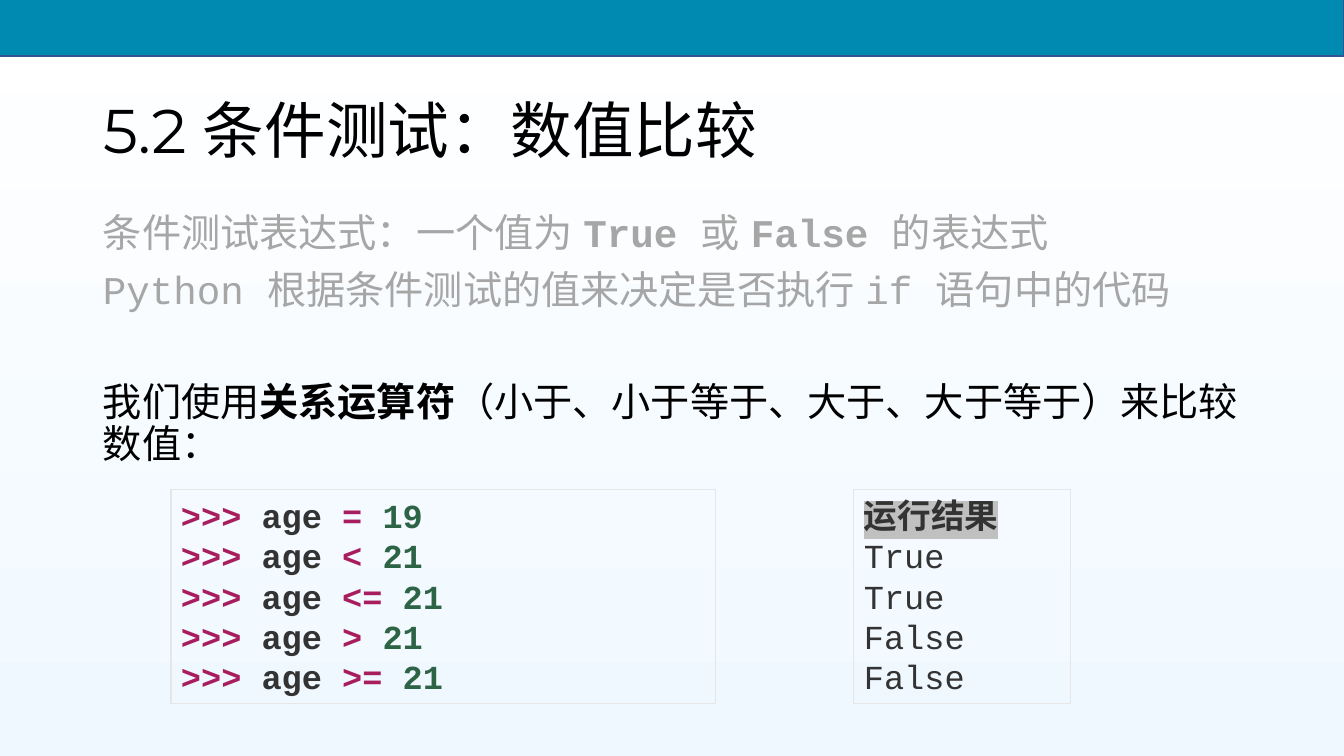
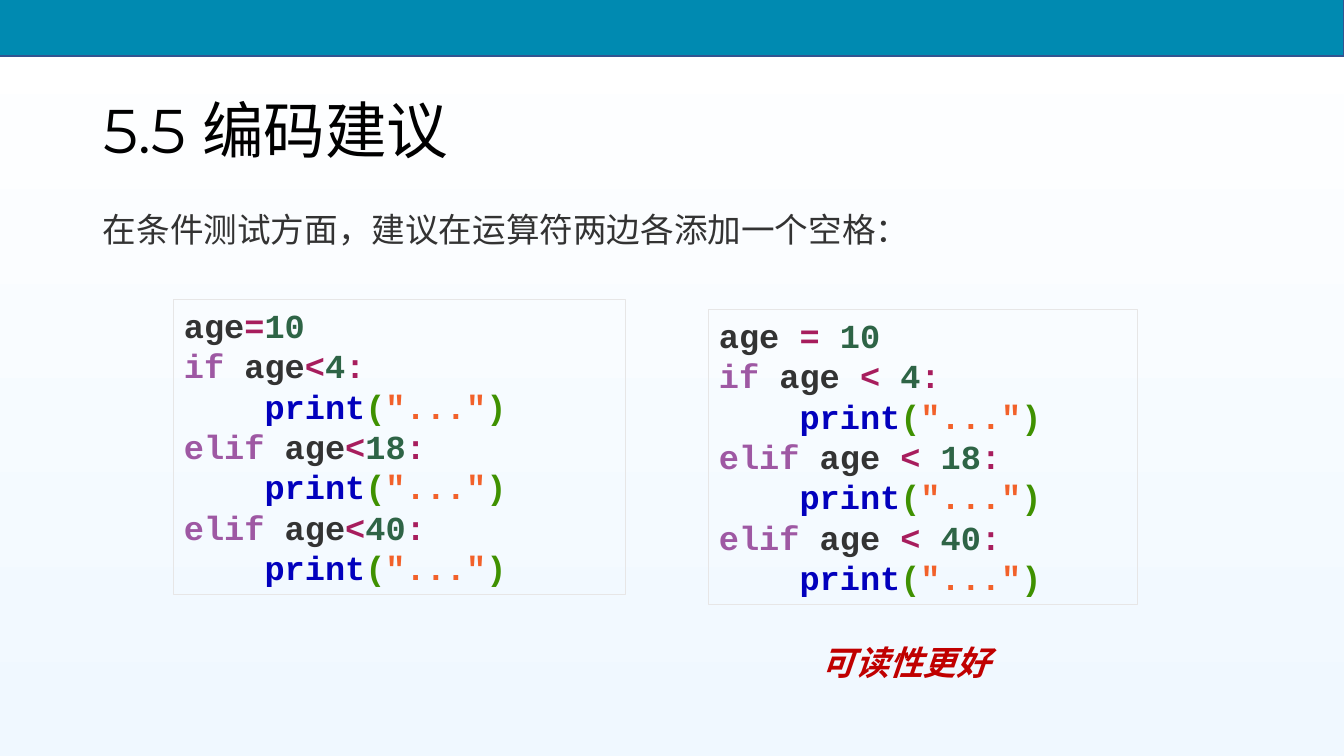
"""Build two Python lesson slides on condition tests and spacing."""
from dataclasses import dataclass
from typing import NamedTuple

from lxml import etree
from pptx import Presentation
from pptx import util as u
from pptx.dml import color
from pptx.enum import lang, shapes, text
from pptx.oxml import ns

SCALE = 914400 / 100.8
BLACK, GREY, DARK = "000000", "A6A6A6", "333333"
OPER, NUM, WORD, FUNC, PAREN, QUOTE = "A71D5D", "2E6446", "9E58A3", "0200BD", "3F9101", "F2612A"
SANS, MONO, HEAD, HAN = "Arial", "Courier New", "Montserrat", "Noto Sans CJK SC"


class Run(NamedTuple):
    text: str
    tint: str = DARK
    bold: bool = False
    font: str = MONO
    size: int = 24
    italic: bool = False
    mark: str = ""


class Box(NamedTuple):
    left: int
    top: int
    width: int
    height: int


@dataclass
class Para:
    runs: list[Run]
    before: int = 0
    lines: float = 1.0


@dataclass
class Panel:
    box: Box
    paras: list[Para]


BAND = Box(-2, -2, 1346, 58)
TITLE = Box(93, 78, 1159, 111)
BODY = Box(93, 209, 1159, 480)


def px(count: float) -> int:
    return round(count * SCALE)


def rgb(code: str) -> color.RGBColor:
    return color.RGBColor.from_string(code)


def apply(target, values: dict) -> None:
    for key, value in values.items():
        setattr(target, key, value)


def place(shape, box: Box) -> None:
    apply(shape, {key: px(value) for key, value in box._asdict().items()})


def style(font, run: Run) -> None:
    font.color.rgb = rgb(run.tint)
    apply(font, {"name": run.font, "size": u.Pt(run.size), "bold": run.bold,
                 "italic": run.italic,
                 "language_id": lang.MSO_LANGUAGE_ID.SIMPLIFIED_CHINESE})


def add_run(para, run: Run) -> None:
    part = para.add_run()
    part.text = run.text.rstrip("\n")
    style(part.font, run)
    latin = part._r.rPr.find(ns.qn("a:latin"))
    east = etree.Element(ns.qn("a:ea"), typeface=run.font)
    latin.addnext(east)
    if run.mark:
        mark = etree.Element(ns.qn("a:highlight"))
        etree.SubElement(mark, ns.qn("a:srgbClr"), val=run.mark)
        latin.addprevious(mark)
    if run.text.endswith("\n"):
        para.add_line_break()


def write(shape, paras: list[Para], anchor=text.MSO_ANCHOR.TOP, grow: bool = False) -> None:
    frame = shape.text_frame
    fit = text.MSO_AUTO_SIZE.SHAPE_TO_FIT_TEXT if grow else text.MSO_AUTO_SIZE.NONE
    apply(frame, {"word_wrap": True, "auto_size": fit, "vertical_anchor": anchor})
    for index, item in enumerate(paras):
        para = frame.add_paragraph() if index else frame.paragraphs[0]
        apply(para, {"alignment": text.PP_ALIGN.LEFT, "line_spacing": item.lines,
                     "space_before": u.Pt(item.before)})
        for run in item.runs:
            add_run(para, run)


def add_rect(slide, box: Box, edge: str, weight: float, fill: str = ""):
    shape = slide.shapes.add_shape(shapes.MSO_SHAPE.RECTANGLE, *map(px, box))
    shape.shadow.inherit = False
    if fill:
        shape.fill.solid()
        shape.fill.fore_color.rgb = rgb(fill)
    else:
        shape.fill.background()
    shape.line.color.rgb = rgb(edge)
    shape.line.width = u.Pt(weight)
    return shape


def add_text(slide, box: Box, paras: list[Para], grow: bool = False) -> None:
    write(slide.shapes.add_textbox(*map(px, box)), paras, grow=grow)


def add_slide(deck, title: str, body: list[Para], panels: list[Panel]):
    slide = deck.slides.add_slide(deck.slide_layouts[5])
    fill = slide.background.fill
    fill.gradient()
    fill.gradient_angle = 270
    for stop, tint, spot in zip(fill.gradient_stops, ("FFFFFF", "F0F8FF"), (0, 1)):
        stop.color.rgb = rgb(tint)
        stop.position = spot
    add_rect(slide, BAND, "325491", 1, "008AB1")
    place(slide.shapes.title, TITLE)
    head = Run(title, BLACK, font=HEAD, size=44)
    write(slide.shapes.title, [Para([head], lines=0.9)], text.MSO_ANCHOR.MIDDLE)
    add_text(slide, BODY, body)
    for panel in panels:
        write(add_rect(slide, panel.box, "E7E6E6", 0.75), panel.paras, grow=True)
    return slide


def code(*parts: tuple[str, str]) -> list[Run]:
    return [Run(words, tint, True) for words, tint in parts]


def shell(tests: list[tuple[str, str]]) -> list[Para]:
    runs = []
    for index, (sign, value) in enumerate(tests, 1):
        end = "\n" if index < len(tests) else ""
        runs += code((">>> ", OPER), ("age ", DARK), (sign + " ", OPER), (value + end, NUM))
    return [Para(runs)]


def chain(gap: str) -> list[Para]:
    runs = code(("age" + gap, DARK), ("=" + gap, OPER), ("10\n", NUM))
    paras = []
    for word, limit in (("if ", "4"), ("elif ", "18"), ("elif ", "40")):
        runs += code((word, WORD), ("age" + gap, DARK), ("<" + gap, OPER),
                     (limit, NUM), (":", OPER))
        paras.append(Para(runs))
        end = "" if limit == "40" else "\n"
        runs = code(("    ", DARK), ("print", FUNC), ("(", PAREN),
                    ('"..."', QUOTE), (")" + end, PAREN))
    return paras + [Para(runs)]


def say(words: str, tint: str, bold: bool = False, font: str = SANS) -> Run:
    return Run(words, tint, bold, font, 28)


def add_tests(deck) -> None:
    body = [
        Para([say("条件测试表达式：一个值为 ", GREY), say("True ", GREY, True, MONO),
              say("或 ", GREY), say("False ", GREY, True, MONO),
              say("的表达式", GREY)], 0, 0.9),
        Para([say("Python ", GREY, font=MONO), say("根据条件测试的值来决定是否执行 ", GREY),
              say("if ", GREY, font=MONO), say("语句中的代码", GREY)], 10, 0.9),
        Para([say("我们使用", BLACK), say("关系运算符", BLACK, True),
              say("（小于、小于等于、大于、大于等于）来比较数值：", BLACK)], 50, 0.9),
    ]
    tests = [("=", "19"), ("<", "21"), ("<=", "21"), (">", "21"), (">=", "21")]
    result = [Para([Run("运行结果", bold=True, mark="C0C0C0")])]
    result += [Para([Run(word)]) for word in ("True", "True", "False", "False")]
    add_slide(deck, "5.2 条件测试：数值比较", body,
              [Panel(Box(171, 490, 545, 214), shell(tests)),
               Panel(Box(854, 490, 217, 214), result)])


def add_advice(deck) -> None:
    line = Run("在条件测试方面，建议在运算符两边各添加一个空格：", font=SANS)
    slide = add_slide(deck, "5.5 编码建议", [Para([line], lines=0.9)],
                      [Panel(Box(709, 310, 429, 295), chain(" ")),
                       Panel(Box(174, 300, 452, 295), chain(""))])
    note = Run("可读性更好", "C00000", True, HAN, italic=True)
    add_text(slide, Box(812, 637, 221, 50), [Para([note])], grow=True)


def main() -> None:
    deck = Presentation()
    apply(deck, {"slide_width": px(1344), "slide_height": px(756)})
    add_tests(deck)
    add_advice(deck)
    deck.save("out.pptx")


if __name__ == "__main__":
    main()
